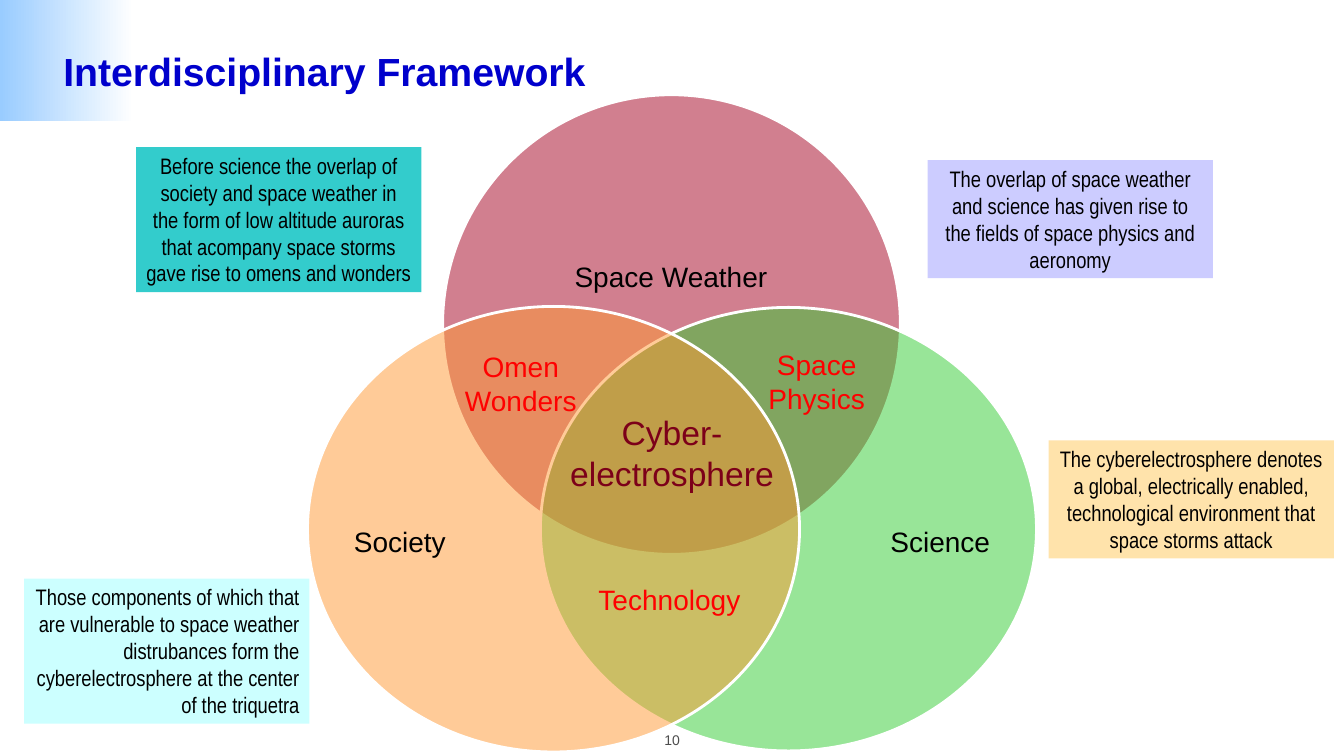
from lxml import etree
from pptx import Presentation
from pptx.dml.color import RGBColor
from pptx.enum import shapes, text
from pptx.oxml import ns
from pptx.util import Inches, Pt

LEFT, CENTER, RIGHT = text.PP_ALIGN.LEFT, text.PP_ALIGN.CENTER, text.PP_ALIGN.RIGHT
TOP, MIDDLE = text.MSO_ANCHOR.TOP, text.MSO_ANCHOR.MIDDLE

CIRCLES = [
    ((4.39, 0.94, 4.54, 4.56), "A50021", "Space Weather", (4.99, 1.74, 3.33, 2.05), CENTER),
    ((5.36, 3.05, 4.92, 4.4), "33CC33", "Science", (6.87, 4.18, 2.95, 2.42), RIGHT),
    ((3.05, 3.04, 4.88, 4.42), "FF9933", "Society", (3.51, 4.18, 2.93, 2.43), LEFT),
]
OVERLAPS = [
    ("Omen Wonders", (4.51, 3.43, 1.31, 0.77), 20, "FF0000"),
    ("Space Physics", (7.31, 3.41, 1.58, 0.77), 20, "FF0000"),
    ("Cyber-electrosphere", (5.55, 4.05, 2.23, 0.91), 24, "7C0019"),
    ("Technology", (5.82, 5.74, 1.64, 0.44), 20, "FF0000"),
]
NOTES = [
    ("Those components of which that are vulnerable to space weather distrubances "
     "form the cyberelectrosphere at the center of the triquetra",
     (0.24, 5.74, 2.83, 1.44), "CCFFFF", RIGHT),
    ("Before science the overlap of society and space weather in the form of low "
     "altitude auroras that acompany space storms gave rise to omens and wonders",
     (1.35, 1.46, 2.83, 1.44), "33CCCC", CENTER),
    ("The overlap of space weather and science has given rise to the fields of "
     "space physics and aeronomy",
     (9.2, 1.59, 2.83, 1.17), "CCCCFF", CENTER),
    ("The cyberelectrosphere denotes a global, electrically enabled, technological "
     "environment that space storms attack",
     (10.4, 4.37, 2.83, 1.17), "FFE3AB", CENTER),
]


def color(value):
    return RGBColor.from_string(value)


def inches(place):
    return [Inches(length) for length in place]


def write(shape, words, size, ink, align=CENTER, anchor=TOP, font="Arial",
          bold=False, inset=0.1):
    frame = shape.text_frame
    frame.word_wrap = True
    frame.vertical_anchor = anchor
    frame.margin_left = frame.margin_right = Inches(inset)
    frame.margin_top = frame.margin_bottom = Inches(inset / 2)
    para = frame.paragraphs[0]
    para.text = words
    para.alignment = align
    para.font.name = font
    para.font.size = Pt(size)
    para.font.bold = bold
    para.font.color.rgb = color(ink)
    return para


def add_label(page, words, place, size, ink, **style):
    box = page.shapes.add_textbox(*inches(place))
    return write(box, words, size, ink, **style)


def add_plain(page, kind, place):
    shape = page.shapes.add_shape(kind, *inches(place))
    shape.shadow.inherit = False
    shape.line.fill.background()
    return shape


def add_corner(page):
    corner = add_plain(page, shapes.MSO_SHAPE.RECTANGLE, (0, 0, 1.33, 1.2))
    corner.fill.gradient()
    corner.fill.gradient_angle = 0
    for stop, value in zip(corner.fill.gradient_stops, ("99CCFF", "FFFFFF")):
        stop.color.rgb = color(value)


def add_circle(page, place, tint):
    circle = add_plain(page, shapes.MSO_SHAPE.OVAL, place)
    circle.fill.solid()
    circle.fill.fore_color.rgb = color(tint)
    solid = circle._element.spPr.find(ns.qn("a:solidFill"))
    etree.SubElement(solid[0], ns.qn("a:alpha"), val="50000")
    circle.line.color.rgb = color("FFFFFF")
    circle.line.width = Pt(2)


def add_note(page, words, place, tint, align):
    note = add_plain(page, shapes.MSO_SHAPE.RECTANGLE, place)
    note.fill.solid()
    note.fill.fore_color.rgb = color(tint)
    write(note, words, 16, "000000", align=align, font="Arial Narrow")


def main():
    deck = Presentation()
    deck.slide_width, deck.slide_height = Inches(13.33), Inches(7.5)
    page = deck.slides.add_slide(deck.slide_layouts[6])
    add_corner(page)
    add_label(page, "10", (6.22, 7.21, 0.89, 0.27), 10, "4D4D4D")
    add_label(page, "Interdisciplinary Framework", (0.53, 0.2, 12.27, 1), 28, "0000CC",
              align=LEFT, anchor=MIDDLE, bold=True)
    for place, tint, name, name_place, align in CIRCLES:
        add_circle(page, place, tint)
        para = add_label(page, name, name_place, 20, "000000",
                         align=align, anchor=MIDDLE, inset=0)
        para.line_spacing = 0.9
    for words, place, size, ink in OVERLAPS:
        add_label(page, words, place, size, ink, inset=0.08)
    for note in NOTES:
        add_note(page, *note)
    deck.save("out.pptx")


if __name__ == "__main__":
    main()
